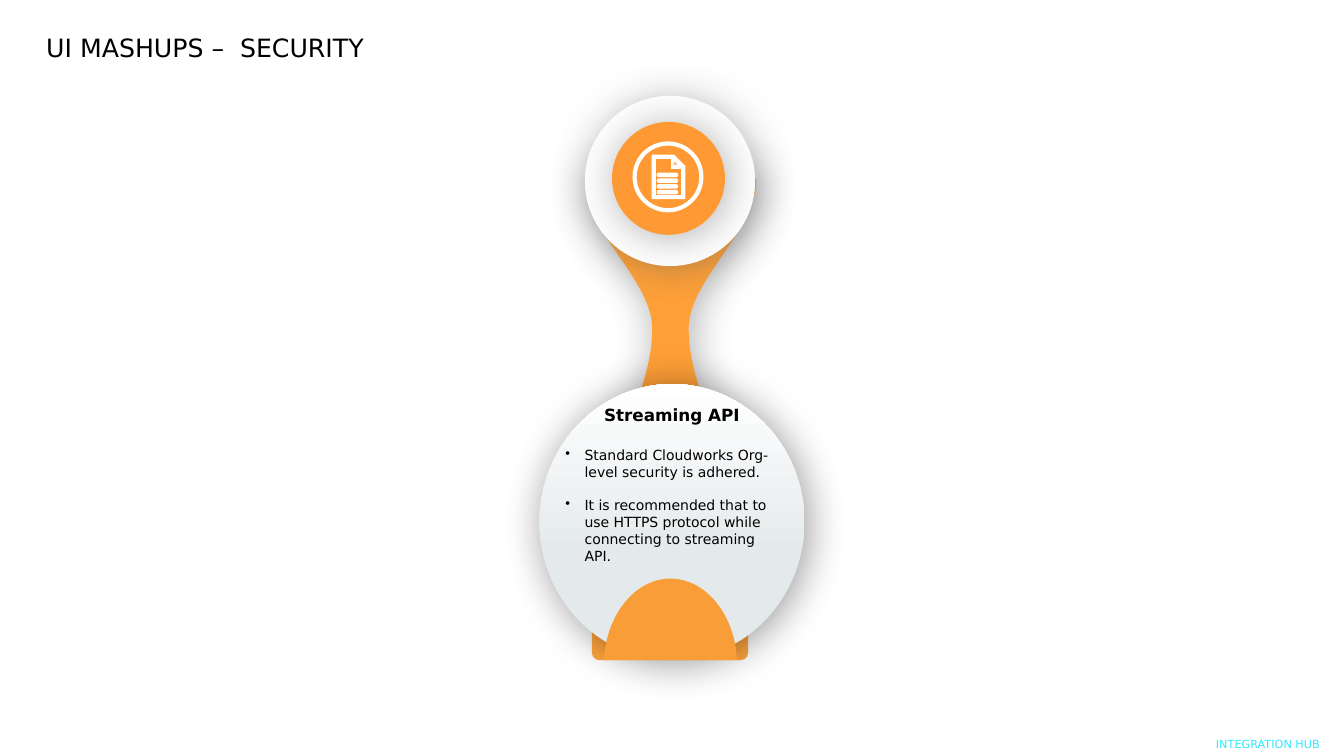
import pptx
import pptx.dml.color
import pptx.enum.shapes
import pptx.enum.text
import pptx.oxml
import pptx.oxml.ns
import pptx.util

Inches = pptx.util.Inches
Pt = pptx.util.Pt
SHAPES = pptx.enum.shapes.MSO_SHAPE
ALIGN = pptx.enum.text.PP_ALIGN
FONT = "DejaVu Sans"
CENTER_X = 6.65


def paint(fill, color):
    fill.solid()
    fill.fore_color.rgb = pptx.dml.color.RGBColor.from_string(color)


def finish(shape, color, shadow=None, outline=None):
    """Set fill, outline and an optional soft shadow toward the lower right."""
    paint(shape.fill, color)
    if outline:
        paint(shape.line.fill, outline)
        shape.line.width = Pt(1)
    else:
        shape.line.fill.background()
    shape.shadow.inherit = False
    if shadow:
        effects = shape._element.spPr.find(pptx.oxml.ns.qn("a:effectLst"))
        effects.append(pptx.oxml.parse_xml(
            f'<a:outerShdw {pptx.oxml.ns.nsdecls("a")} blurRad="{Pt(30)}" dist="{Pt(3)}"'
            ' dir="2700000" algn="tl" rotWithShape="0">'
            f'<a:srgbClr val="{shadow}"><a:alpha val="40000"/></a:srgbClr></a:outerShdw>'))


presentation = pptx.Presentation()
presentation.slide_width = Inches(13.33)
presentation.slide_height = Inches(7.5)
slide = presentation.slides.add_slide(presentation.slide_layouts[6])
shapes = slide.shapes

# Left halves of the symmetric outlines: three points make a Bezier curve, one a line
left_halves = {
    "neck": [
        [(CENTER_X, 1.64)],
        [(6.08, 1.64)],
        [(5.93, 1.64), (5.8, 1.71), (5.8, 1.8)],
        [(5.8, 2.29), (6.47, 2.78), (6.47, 3.26)],
        [(6.47, 4.04), (5.8, 4.81), (5.8, 5.58)],
        [(5.8, 5.67), (5.93, 5.74), (6.08, 5.74)],
    ],
    "dome": [
        [(CENTER_X, 5.74)],
        [(6.33, 5.74), (6.06, 6.04), (6, 6.44)],
        [(5.99, 6.55)],
    ],
}
outlines = {}
for name, segments in left_halves.items():
    points = []
    for segment in segments:
        if len(segment) == 1:
            points += segment
            continue
        controls = [points[-1], *segment]
        for step in range(1, 25):
            t = step / 24
            weights = ((1 - t) ** 3, 3 * t * (1 - t) ** 2, 3 * t ** 2 * (1 - t), t ** 3)
            points.append(tuple(sum(weight * control[axis]
                                    for weight, control in zip(weights, controls))
                                for axis in (0, 1)))
    points += [(2 * CENTER_X - x, y) for x, y in reversed(points)]
    points = [(Inches(x), Inches(y)) for x, y in points]
    outlines[name] = shapes.build_freeform(*points[0])
    outlines[name].add_line_segments(points[1:], close=True)

base = shapes.add_shape(SHAPES.ROUNDED_RECTANGLE,
                        Inches(5.87), Inches(6.11), Inches(1.55), Inches(0.44))
finish(base, "FFA63D")
finish(outlines["neck"].convert_to_shape(), "FFA037", shadow="404040")

circles = [
    (5.8, 0.95, 1.69, 1.69, "FFFFFF", "595959"),
    (6.07, 1.21, 1.12, 1.12, "FF9933", "404040"),
    (5.35, 3.81, 2.63, 2.74, "E4EAEC", "000000"),
]
for left, top, width, height, color, shadow in circles:
    circle = shapes.add_shape(SHAPES.OVAL, Inches(left), Inches(top),
                              Inches(width), Inches(height))
    finish(circle, color, shadow)

# The last circle is the text disc, which fades to white at the top
circle.fill.gradient()
circle.fill.gradient_angle = 90
for stop, position, color in zip(circle.fill.gradient_stops, (0.38, 1), ("E4EAEC", "FFFFFF")):
    stop.position = position
    stop.color.rgb = pptx.dml.color.RGBColor.from_string(color)

finish(outlines["dome"].convert_to_shape(), "F99D38")

# Document icon: ring, page with folded corner, four text lines
ring = shapes.add_shape(SHAPES.DONUT, Inches(6.28), Inches(1.41), Inches(0.69), Inches(0.69))
ring.adjustments[0] = 0.04
finish(ring, "FFFFFF", outline="FFFFFF")

page_contours = [
    [(6.47, 1.54), (6.68, 1.54), (6.79, 1.65), (6.79, 1.97), (6.47, 1.97)],
    [(6.68, 1.59), (6.74, 1.64), (6.68, 1.64)],
    [(6.5, 1.94), (6.5, 1.57), (6.66, 1.57), (6.66, 1.67), (6.76, 1.67), (6.76, 1.94)],
]
page = None
for contour in page_contours:
    points = [(Inches(x), Inches(y)) for x, y in contour]
    if page is None:
        page = shapes.build_freeform(*points[0])
    else:
        page.move_to(*points[0])
    page.add_line_segments(points[1:], close=True)
finish(page.convert_to_shape(), "FFFFFF", outline="FFFFFF")

for row in range(4):
    text_line = shapes.add_shape(SHAPES.ROUNDED_RECTANGLE, Inches(6.52),
                                 Inches(1.72 + 0.057 * row), Inches(0.2), Inches(0.03))
    text_line.adjustments[0] = 0.5
    finish(text_line, "FFFFFF", outline="FFFFFF")

bullets = ("Standard Cloudworks Org-level security is adhered.\n"
           "It is recommended that to use HTTPS protocol while connecting to streaming API.")
texts = {
    "heading": (5.68, 3.97, 1.97, 0.3, "Streaming API", 12, "000000"),
    "bullets": (5.51, 4.38, 2.28, 1.28, bullets, 10, "000000"),
    "title": (0.36, 0.27, 12.19, 0.4, "UI MASHUPS –  SECURITY", 18, "000000"),
    "footer": (12.06, 7.33, 1.28, 0.17, "INTEGRATION HUB", 8, "32E9FF"),
}
frames = {}
for name, (left, top, width, height, text, size, color) in texts.items():
    box = shapes.add_textbox(Inches(left), Inches(top), Inches(width), Inches(height))
    frames[name] = box.text_frame
    box.text_frame.word_wrap = True
    box.text_frame.text = text
    for paragraph in box.text_frame.paragraphs:
        font = paragraph.runs[0].font
        font.name = FONT
        font.size = Pt(size)
        paint(font.fill, color)

heading = frames["heading"].paragraphs[0]
heading.alignment = ALIGN.CENTER
heading.runs[0].font.bold = True

for paragraph in frames["bullets"].paragraphs:
    paragraph.space_before = Pt(12)
    properties = paragraph._p.get_or_add_pPr()
    properties.set("marL", str(Inches(0.19)))
    properties.set("indent", str(-Inches(0.19)))
    properties.append(pptx.oxml.parse_xml(
        f'<a:buChar {pptx.oxml.ns.nsdecls("a")} char="•"/>'))

footer = frames["footer"]
footer.margin_left = footer.margin_right = footer.margin_top = footer.margin_bottom = 0
footer.paragraphs[0].line_spacing = 0.9
footer.paragraphs[0].space_before = Pt(10)

presentation.save("out.pptx")
